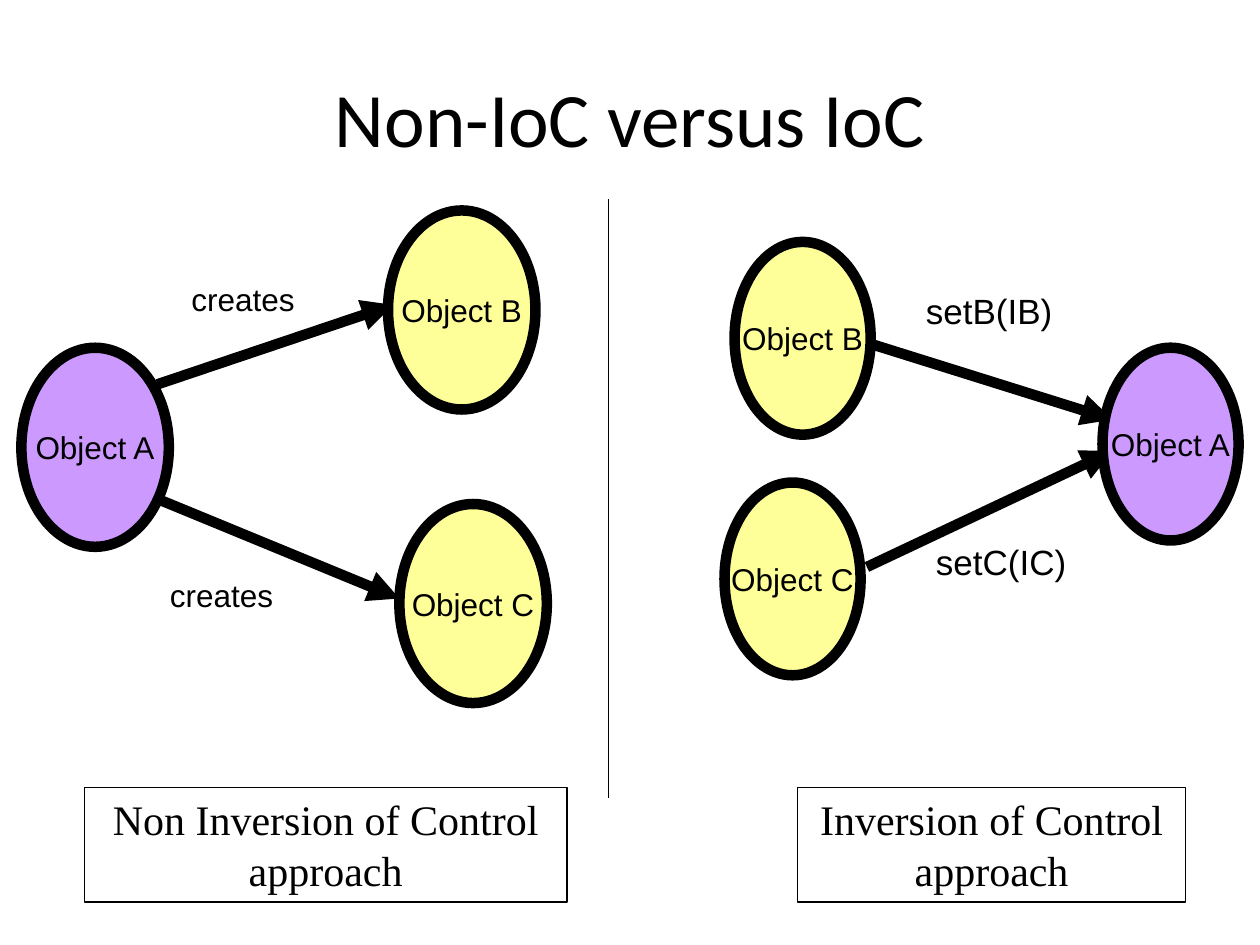
from lxml import etree
from pptx import Presentation
from pptx.dml.color import RGBColor
from pptx.enum.shapes import MSO_CONNECTOR, MSO_SHAPE
from pptx.enum.text import MSO_ANCHOR, PP_ALIGN
from pptx.oxml.ns import qn
from pptx.util import Inches, Pt

LEFT, CENTER = PP_ALIGN.LEFT, PP_ALIGN.CENTER
TOP, MIDDLE = MSO_ANCHOR.TOP, MSO_ANCHOR.MIDDLE
OVAL, RECTANGLE = MSO_SHAPE.OVAL, MSO_SHAPE.RECTANGLE
STRAIGHT = MSO_CONNECTOR.STRAIGHT

BLACK, PURPLE, YELLOW = "000000", "CC99FF", "FFFF99"
THIN, THICK = 0.75, 6

TITLE = "Non-IoC versus IoC"
DIVIDER = ((4.83, 1.58), (4.83, 6.33))

# Objects: text, fill, left, top. Labels: text, left, top, width.
APPROACHES = [
    {
        "caption": ("Non Inversion of Control approach", 0.67, 3.83),
        "object_size": (1.17, 1.58),
        "objects": [("Object A", PURPLE, 0.17, 2.76),
                    ("Object B", YELLOW, 3.08, 1.67),
                    ("Object C", YELLOW, 3.17, 4.0)],
        "arrows": [((1.25, 3.05), (3.12, 2.42)),
                   ((1.25, 3.96), (3.17, 4.75))],
        "labels": [("creates", 1.42, 2.17, 1.21),
                   ("creates", 1.25, 4.52, 1.08)],
        "label_height": 0.4,
        "label_points": 18,
    },
    {
        "caption": ("Inversion of Control approach", 6.33, 3.08),
        "object_size": (1.08, 1.53),
        "objects": [("Object A", PURPLE, 8.75, 2.76),
                    ("Object B", YELLOW, 5.83, 1.92),
                    ("Object C", YELLOW, 5.75, 3.83)],
        "arrows": [((6.88, 2.72), (8.83, 3.33)),
                   ((6.88, 4.5), (8.83, 3.58))],
        "labels": [("setB(IB)", 7.25, 2.25, 1.5),
                   ("setC(IC)", 7.33, 4.24, 1.42)],
        "label_height": 0.44,
        "label_points": 20,
    },
]
CAPTION_TOP, CAPTION_HEIGHT = 6.25, 0.91


def color(hex_string):
    return RGBColor.from_string(hex_string)


def write_text(shape, text, *, size, font="Arial", align=CENTER,
               anchor=MIDDLE, wrap=True):
    frame = shape.text_frame
    frame.word_wrap = wrap
    frame.vertical_anchor = anchor
    paragraph = frame.paragraphs[0]
    paragraph.alignment = align
    run = paragraph.add_run()
    run.text = text
    run.font.size = Pt(size)
    run.font.name = font
    run.font.color.rgb = color(BLACK)


def add_text_box(slide, box, text, **text_format):
    shape = slide.shapes.add_textbox(*map(Inches, box))
    write_text(shape, text, **text_format)


def add_outlined_shape(slide, kind, box, text, *, fill=None, width=THIN,
                       **text_format):
    shape = slide.shapes.add_shape(kind, *map(Inches, box))
    shape.shadow.inherit = False
    if fill:
        shape.fill.solid()
        shape.fill.fore_color.rgb = color(fill)
    else:
        shape.fill.background()
    shape.line.color.rgb = color(BLACK)
    shape.line.width = Pt(width)
    write_text(shape, text, **text_format)


def add_line(slide, start, end, *, width=THIN, arrow=False):
    connector = slide.shapes.add_connector(
        STRAIGHT, *map(Inches, (*start, *end)))
    connector.line.color.rgb = color(BLACK)
    connector.line.width = Pt(width)
    properties = connector._element.spPr
    if arrow:
        line = properties.find(qn("a:ln"))
        etree.SubElement(line, qn("a:tailEnd"), type="triangle")
    etree.SubElement(properties, qn("a:effectLst"))


def add_approach(slide, approach):
    text, left, width = approach["caption"]
    add_outlined_shape(slide, RECTANGLE,
                       (left, CAPTION_TOP, width, CAPTION_HEIGHT), text,
                       size=24, font="Times New Roman", anchor=TOP)
    for start, end in approach["arrows"]:
        add_line(slide, start, end, width=THICK, arrow=True)
    for text, fill, left, top in approach["objects"]:
        add_outlined_shape(slide, OVAL, (left, top, *approach["object_size"]),
                           text, fill=fill, width=THICK, size=18, wrap=False)
    for text, left, top, width in approach["labels"]:
        add_text_box(slide, (left, top, width, approach["label_height"]), text,
                     size=approach["label_points"], align=LEFT, anchor=TOP)


def main():
    presentation = Presentation()
    presentation.slide_width = Inches(10)
    presentation.slide_height = Inches(7.5)
    slide = presentation.slides.add_slide(presentation.slide_layouts[6])

    add_text_box(slide, (0.5, 0.3, 9, 1.25), TITLE, size=44, font="Calibri")
    add_line(slide, *DIVIDER)
    for approach in APPROACHES:
        add_approach(slide, approach)

    presentation.save("out.pptx")


if __name__ == "__main__":
    main()
